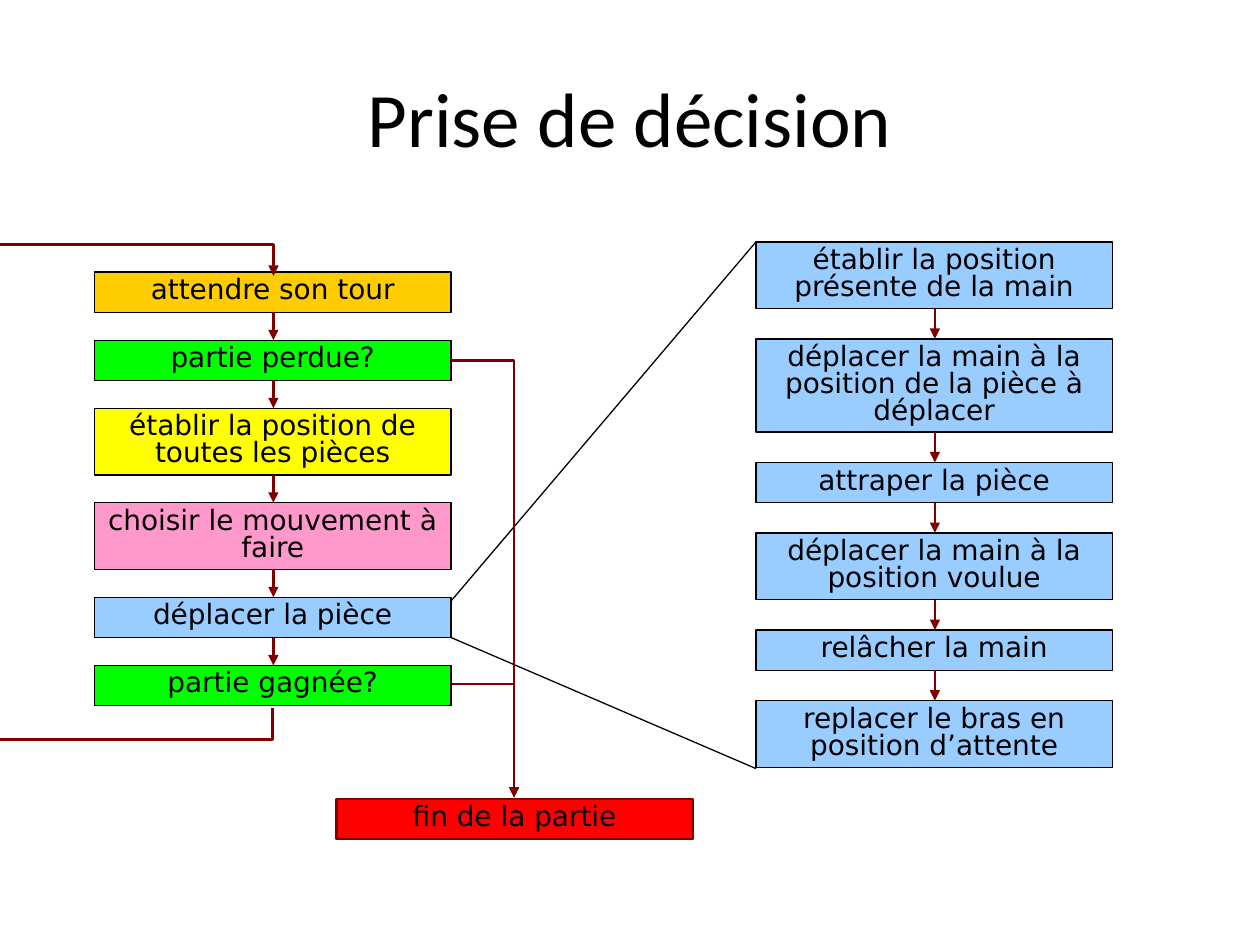
"""Build the decision flowchart slide and save it."""
import pptx
import pptx.dml.color
import pptx.enum.shapes
import pptx.enum.text
import pptx.oxml.ns
import pptx.util
from lxml import etree

PX = 9144
BOX_WIDTH = 283
BLACK, MAROON, SKY, GREEN = "000000", "800000", "99CCFF", "00FF00"
hex_color = pptx.dml.color.RGBColor.from_string
qn = pptx.oxml.ns.qn


def write_text(frame, text, font="DejaVu Sans", size=16, anchor="TOP", spacing=None, before=None):
    frame.word_wrap = True
    frame.vertical_anchor = pptx.enum.text.MSO_ANCHOR[anchor]
    paragraph = frame.paragraphs[0]
    paragraph.alignment = pptx.enum.text.PP_ALIGN.CENTER
    if spacing:
        paragraph.line_spacing = spacing
    if before:
        paragraph.space_before = pptx.util.Pt(before)
    run = paragraph.add_run()
    run.text = text
    run.font.name = font
    run.font.size = pptx.util.Pt(size)
    run.font.color.rgb = hex_color(color_of_text)


def connect(start, end, color=MAROON, weight=1.5, arrow=True, bend=None):
    kind = pptx.enum.shapes.MSO_CONNECTOR["ELBOW" if bend else "STRAIGHT"]
    link = slide.shapes.add_connector(kind, *(value * PX for value in (*start, *end)))
    link.line.color.rgb = hex_color(color)
    link.line.width = pptx.util.Pt(weight)
    properties = link.element.spPr
    if bend:
        properties.find(qn("a:prstGeom")).set("prst", bend)
    if arrow:
        etree.SubElement(properties.find(qn("a:ln")), qn("a:tailEnd"), type="triangle")
    etree.SubElement(properties, qn("a:effectLst"))
    return link


color_of_text = BLACK
presentation = pptx.Presentation()
presentation.slide_width = 1000 * PX
presentation.slide_height = 750 * PX
slide = presentation.slides.add_slide(presentation.slide_layouts[5])

title = slide.shapes.title
title.left, title.top, title.width, title.height = 50 * PX, 30 * PX, 900 * PX, 125 * PX
write_text(title.text_frame, "Prise de décision", font="Calibri", size=44, anchor="MIDDLE")

game_turn = [
    ("attendre son tour", 1, "FFCC00"),
    ("partie perdue?", 1, GREEN),
    ("établir la position de toutes les pièces", 2, "FFFF00"),
    ("choisir le mouvement à faire", 2, "FF99CC"),
    ("déplacer la pièce", 1, SKY),
    ("partie gagnée?", 1, GREEN),
]
arm_moves = [
    ("établir la position présente de la main", 2, SKY),
    ("déplacer la main à la position de la pièce à déplacer", 3, SKY),
    ("attraper la pièce", 1, SKY),
    ("déplacer la main à la position voulue", 2, SKY),
    ("relâcher la main", 1, SKY),
    ("replacer le bras en position d’attente", 2, SKY),
]
game_end = [("fin de la partie", 1, "FF0000")]

sequences = [
    (75, 216, 22, game_turn, BLACK, 0.75),
    (600, 192, 24, arm_moves, BLACK, 0.75),
    (267, 634, 0, game_end, MAROON, 1.5),
]
for left, top, gap, steps, border, weight in sequences:
    center = left + BOX_WIDTH // 2 + 1
    for index, (label, line_count, fill) in enumerate(steps):
        height = 11 + 21 * line_count
        if index:
            connect((center, top - gap), (center, top))
        step = slide.shapes.add_shape(
            pptx.enum.shapes.MSO_SHAPE.RECTANGLE, left * PX, top * PX, BOX_WIDTH * PX, height * PX
        )
        step.shadow.inherit = False
        step.fill.solid()
        step.fill.fore_color.rgb = hex_color(fill)
        step.line.color.rgb = hex_color(border)
        step.line.width = pptx.util.Pt(weight)
        write_text(step.text_frame, label, spacing=0.8, before=10)
        step.text_frame.auto_size = pptx.enum.text.MSO_AUTO_SIZE.SHAPE_TO_FIT_TEXT
        top += height + gap

connect((358, 477), (600, 192), color=BLACK, weight=0.75, arrow=False)
connect((358, 506), (600, 610), color=BLACK, weight=0.75, arrow=False)
for outcome_y in (286, 543):
    connect((358, outcome_y), (408, 633), bend="bentConnector2")

next_turn = connect((388, 391), (45, 390), bend="bentConnector5")
next_turn.element.spPr.find(qn("a:xfrm")).set("rot", "5400000")
guides = next_turn.element.spPr.find(qn("a:prstGeom")).get_or_add_avLst()
for number, share in enumerate((-7300, -29000000, 107300), start=1):
    etree.SubElement(guides, qn("a:gd"), name=f"adj{number}", fmla=f"val {share}")

presentation.save("out.pptx")
